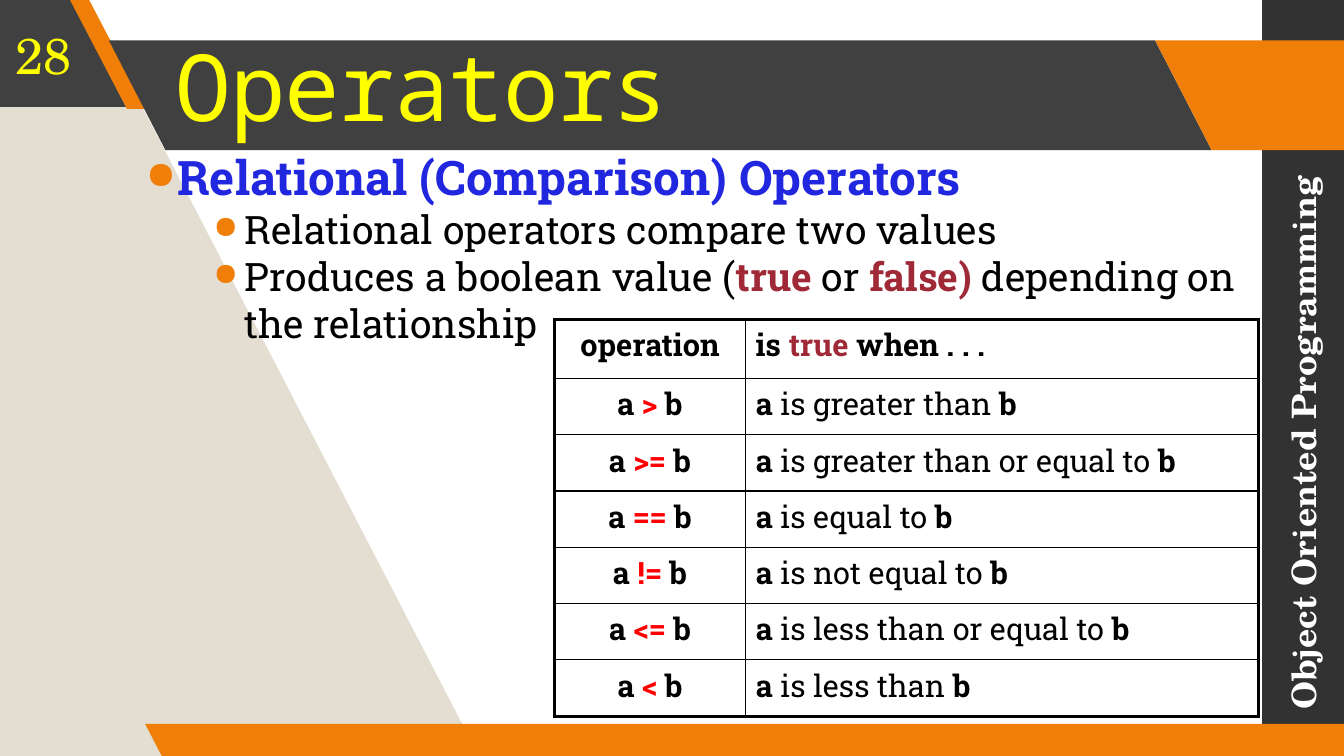
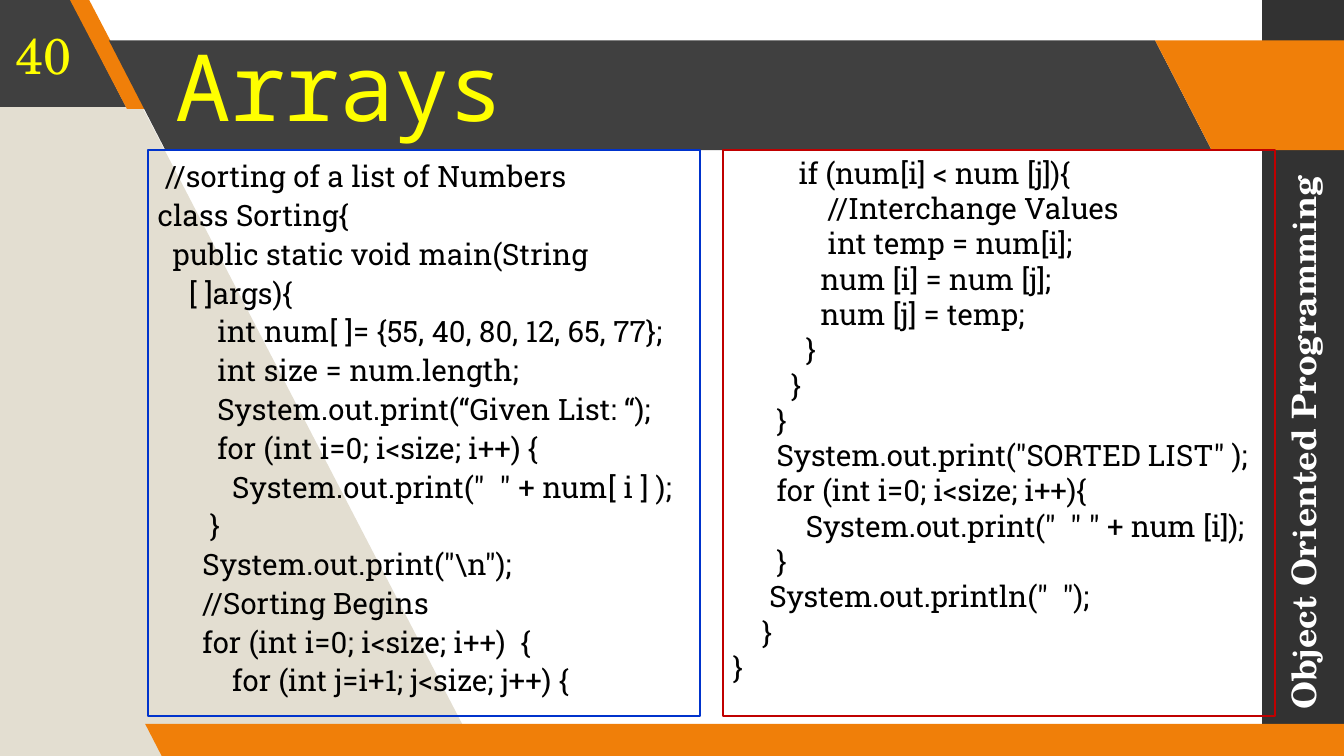
from lxml import etree
from pptx import Presentation
from pptx.dml.color import RGBColor
from pptx.enum import shapes, text
from pptx.oxml import ns
from pptx.util import Pt

ORANGE, CHARCOAL, SIDE_GRAY, SAND = "F07F09", "404040", "323232", "E3DED1"
YELLOW, WHITE, BLACK = "FFFF00", "FFFFFF", "000000"
HEADING_BLUE, KEYWORD, RED = "2126DF", "9F2936", "FF0000"
SLAB, MONO, SCHOLA = "Roboto Slab", "Noto Sans Mono", "TeX Gyre Schola"

# left, top, width, height, slant, colour
BANDS = [
    (-95, -2.2, 185, 78.5, 0.515, CHARCOAL),
    (49.7, -0.7, 54.7, 78.5, 0.75, ORANGE),
    (77.8, 28.8, 787.7, 78.5, 0.515, CHARCOAL),
    (825.1, 28.8, 185, 78.5, 0.515, ORANGE),
    (103.7, 517, 878.4, 23.8, 0.515, ORANGE),
]
SLIDES = [("Operators", "28"), ("Arrays", "40")]


def rgb(value):
    return RGBColor.from_string(value)


def write(paragraph, runs, size, name, color=BLACK, bold=False, spacing=0):
    """Fill a paragraph with (text, colour, bold) runs; None keeps the paragraph's font."""
    font = paragraph.font
    font.size, font.name, font.bold = Pt(size), name, bold
    font.color.rgb = rgb(color)
    if spacing:
        paragraph._p.get_or_add_pPr().get_or_add_defRPr().set("spc", str(spacing))
    for words, run_color, run_bold in runs:
        run = paragraph.add_run()
        run.text = words
        if run_color:
            run.font.color.rgb = rgb(run_color)
        if run_bold is not None:
            run.font.bold = run_bold


prs = Presentation()
prs.slide_width, prs.slide_height = Pt(960), Pt(540)

# Shared frame: bands, title, page number and course name
pages = []
for title, number in SLIDES:
    page = prs.slides.add_slide(prs.slide_layouts[6])
    pages.append(page)
    side = page.shapes.add_shape(shapes.MSO_SHAPE.RECTANGLE, Pt(901.5), 0, Pt(58.5), Pt(540))
    outline = page.shapes.build_freeform(Pt(342), Pt(540))
    outline.add_line_segments(
        [(Pt(x), Pt(y)) for x, y in [(59.8, -4.3), (-5.8, -3.6), (-2.2, 543.6)]])
    wedge = outline.convert_to_shape()
    painted = [(side, SIDE_GRAY), (wedge, SAND)]
    for left, top, width, height, slant, color in BANDS:
        band = page.shapes.add_shape(
            shapes.MSO_SHAPE.PARALLELOGRAM, Pt(left), Pt(top), Pt(width), Pt(height))
        band.adjustments[0] = slant
        band._element.spPr.find(ns.qn("a:xfrm")).set("flipH", "1")
        painted.append((band, color))
    for part, color in painted:
        part.shadow.inherit = False
        part.fill.solid()
        part.fill.fore_color.rgb = rgb(color)
        part.line.fill.background()

    heading = page.shapes.add_textbox(Pt(115.9), Pt(28.8), Pt(794.9), Pt(78.5))
    course = page.shapes.add_textbox(Pt(733), Pt(301.7), Pt(396), Pt(28.8))
    course.rotation = 270
    page_number = page.shapes.add_textbox(0, 0, Pt(62.6), Pt(77))
    for box, inset in [(heading, 9.4), (course, None), (page_number, 7.2)]:
        frame = box.text_frame
        frame.word_wrap = True
        frame.vertical_anchor = text.MSO_ANCHOR.MIDDLE
        if inset:
            frame.margin_left = frame.margin_right = Pt(inset)
            frame.margin_top = frame.margin_bottom = Pt(inset)
    course.text_frame.margin_right = 0
    heading_line = heading.text_frame.paragraphs[0]
    heading_line.line_spacing = 0.8
    write(heading_line, [(title, None, None)], 66, MONO, YELLOW, spacing=-50)
    write(course.text_frame.paragraphs[0], [("Object Oriented Programming", None, None)],
          24, SCHOLA, WHITE, True)
    number_line = page_number.text_frame.paragraphs[0]
    number_line.alignment = text.PP_ALIGN.CENTER
    write(number_line, [(number, None, None)], 36, SCHOLA, YELLOW)

operators, arrays = pages

# Operators: bulleted explanation
# level, indent, line spacing, size, colour, bold, letter spacing, runs
POINTS = [
    (0, 28.8, 0.9, 34, HEADING_BLUE, True, 10,
     [("Relational (Comparison) Operators", None, None)]),
    (1, 77, 1.0, 28, BLACK, False, 0,
     [("Relational operators compare two values", None, None)]),
    (1, 77, 1.0, 28, BLACK, False, 0, [
        ("Produces a boolean value (", None, None), ("true ", KEYWORD, True),
        ("or ", None, None), ("false)", KEYWORD, True),
        (" depending on the relationship", None, None)]),
]
body = operators.shapes.add_textbox(Pt(90.7), Pt(106.6), Pt(811.4), Pt(407.5)).text_frame
body.word_wrap = True
for i, (level, indent, line_spacing, size, color, bold, spacing, runs) in enumerate(POINTS):
    point = body.add_paragraph() if i else body.paragraphs[0]
    point.level = level
    point.line_spacing = line_spacing
    props = point._p.get_or_add_pPr()
    props.set("marL", str(Pt(indent)))
    props.set("indent", str(Pt(-22.3)))
    bullet_color = etree.SubElement(props, ns.qn("a:buClr"))
    etree.SubElement(bullet_color, ns.qn("a:srgbClr"), val=ORANGE)
    etree.SubElement(props, ns.qn("a:buSzPct"), val="80000")
    etree.SubElement(props, ns.qn("a:buChar"), char="●")
    write(point, runs, size, SLAB, color, bold, spacing)

# Operators: table of comparisons
COMPARISONS = [
    (">", "greater than"), (">=", "greater than or equal to"), ("==", "equal to"),
    ("!=", "not equal to"), ("<=", "less than or equal to"), ("<", "less than"),
]
rows = [([("operation", None, None)],
         [("is ", None, None), ("true", KEYWORD, None), (" when . . .", None, None)])]
for sign, meaning in COMPARISONS:
    rows.append(([("a ", None, None), (sign, RED, None), (" b", None, None)],
                 [("a", None, None), (f" is {meaning} ", None, False), ("b", None, None)]))
table = operators.shapes.add_table(
    len(rows), 2, Pt(396), Pt(228.2), Pt(503), Pt(283.4)).table
table.first_row = table.horz_banding = False
table.columns[0].width, table.columns[1].width = Pt(136.5), Pt(366.5)
for r, row in enumerate(rows):
    table.rows[r].height = Pt(40.2 if r else 42.2)
    for c, runs in enumerate(row):
        cell = table.cell(r, c)
        line = cell.text_frame.paragraphs[0]
        if c == 0:
            line.alignment = text.PP_ALIGN.CENTER
        write(line, runs, 22, SLAB, bold=True)
        cell_props = cell._tc.get_or_add_tcPr()
        edges = [("a:lnL", c == 0), ("a:lnR", c == 1),
                 ("a:lnT", r == 0), ("a:lnB", r == len(rows) - 1)]
        for tag, outer in edges:
            border = etree.SubElement(cell_props, ns.qn(tag), w=str(Pt(2.25 if outer else 1)))
            ink = etree.SubElement(border, ns.qn("a:solidFill"))
            etree.SubElement(ink, ns.qn("a:srgbClr"), val=BLACK)
        cell.fill.background()

# Arrays: the sorting program in two panels
SORT_START = r''' //sorting of a list of Numbers
class Sorting{
  public static void main(String [ ]args){
        int num[ ]= {55, 40, 80, 12, 65, 77};
        int size = num.length;
        System.out.print(“Given List: “);
        for (int i=0; i<size; i++) {
          System.out.print("  " + num[ i ] );
       }
      System.out.print("\n");
      //Sorting Begins
      for (int i=0; i<size; i++)  {
          for (int j=i+1; j<size; j++) {'''
SORT_END = '''         if (num[i] < num [j]){
             //Interchange Values
             int temp = num[i];
            num [i] = num [j];
            num [j] = temp;
          }
        }
      }
      System.out.print("SORTED LIST" );
      for (int i=0; i<size; i++){
          System.out.print("  " " + num [i]);
      }
     System.out.println("  ");
    }
}'''
# left, border colour, line spacing, letter spacing, right margin, code
PANELS = [(105.6, "0033CC", 1.1, 10, 15, SORT_START),
          (516.4, "C00000", 1.0, 0, 7.2, SORT_END)]
for left, border_color, line_spacing, spacing, right_margin, code in PANELS:
    panel = arrays.shapes.add_shape(
        shapes.MSO_SHAPE.RECTANGLE, Pt(left), Pt(107.2), Pt(394.5), Pt(404.5))
    panel.shadow.inherit = False
    panel.fill.background()
    panel.line.color.rgb = rgb(border_color)
    panel.line.width = Pt(1.25)
    frame = panel.text_frame
    frame.word_wrap = True
    frame.vertical_anchor = text.MSO_ANCHOR.TOP
    frame.margin_right = Pt(right_margin)
    for i, statement in enumerate(code.split("\n")):
        line = frame.add_paragraph() if i else frame.paragraphs[0]
        line.alignment = text.PP_ALIGN.LEFT
        line.line_spacing = line_spacing
        props = line._p.get_or_add_pPr()
        props.set("marL", str(Pt(22.3)))
        props.set("indent", str(Pt(-22.3)))
        write(line, [(statement, None, None)], 21, SLAB, spacing=spacing)

prs.save("out.pptx")
